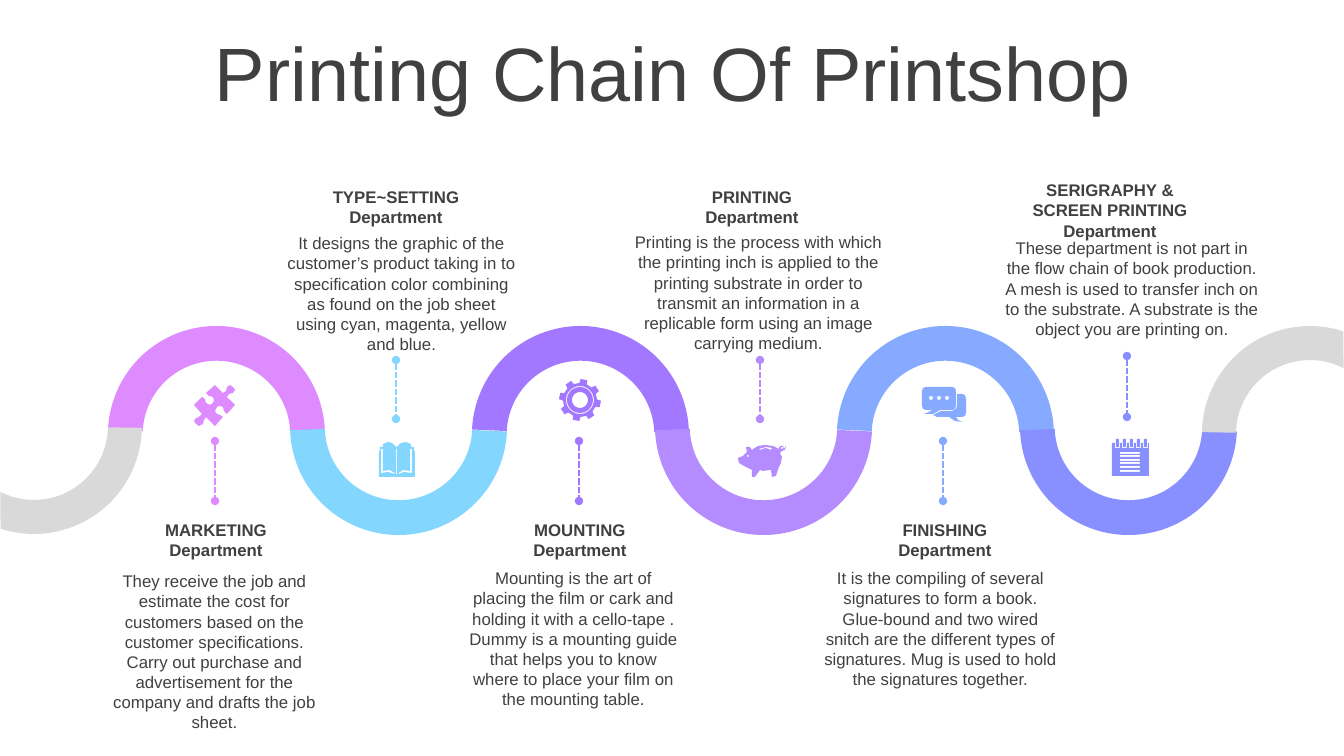
import math
import pptx
import pptx.dml.color
import pptx.enum.dml
import pptx.enum.shapes
import pptx.enum.text
import pptx.oxml
import pptx.oxml.ns
import pptx.util

EMU_PER_PX = 914400 / 100.8
FONT = "Arial"
COLORS = {
    "text": "404040", "grey": "D9D9D9", "pink": "DD8BFF", "cyan": "83D7FF",
    "violet": "A178FF", "lilac": "B58CFF", "blue": "86AAFF", "indigo": "888FFF",
}

# Colour, label, label box, description, description box, dashed line (x, top, bottom)
STAGES = [
    ("pink", "MARKETING Department", (121, 515, 190, 50),
     "They receive the job and estimate the cost for customers based on the customer "
     "specifications. Carry out purchase and advertisement for the company and drafts "
     "the job sheet.", (97, 566, 235, 173), (215, 441, 501)),
    ("cyan", "TYPE~SETTING Department", (301, 182, 190, 50),
     "It designs the graphic of the customer’s product taking in to specification color "
     "combining as found on the job sheet using cyan, magenta, yellow and blue.",
     (276, 228, 251, 132), (396, 360, 419)),
    ("violet", "MOUNTING Department", (485, 515, 190, 50),
     "Mounting is the art of placing the film or cark and holding it with a cello-tape . "
     "Dummy is a mounting guide that helps you to know where to place your film on the "
     "mounting table.", (457, 563, 233, 152), (579, 441, 501)),
    ("lilac", "PRINTING Department", (657, 182, 190, 50),
     "Printing is the process with which the printing inch is applied to the printing "
     "substrate in order to transmit an information in a replicable form using an image "
     "carrying medium.", (617, 227, 283, 132), (760, 360, 419)),
    ("blue", "FINISHING Department", (850, 515, 190, 50),
     "It is the compiling of several signatures to form a book. Glue-bound and two wired "
     "snitch are the different types of signatures. Mug is used to hold the signatures "
     "together.", (814, 563, 253, 132), (943, 441, 501)),
    ("indigo", "SERIGRAPHY & SCREEN PRINTING Department", (1012, 175, 196, 72),
     "These department is not part in the flow chain of book production. A mesh is used "
     "to transfer inch on to the substrate. A substrate is the object you are printing "
     "on.", (995, 233, 274, 112), (1127, 356, 417)),
]

PUZZLE = [
    (233, 387), (235, 390), (233, 393), (229, 394), (227, 397), (235, 405), (227, 414),
    (224, 411), (223, 407), (219, 406), (217, 407), (215, 411), (217, 414), (220, 415),
    (223, 417), (215, 426), (206, 417), (204, 420), (203, 424), (199, 426), (196, 424),
    (194, 421), (196, 418), (199, 417), (202, 414), (194, 405), (202, 397), (205, 399),
    (206, 403), (210, 405), (213, 403), (214, 400), (213, 397), (209, 396), (206, 393),
    (215, 385), (223, 393), (226, 391), (227, 387), (230, 385),
]
BOOK_COVER = [
    (379, 451), (380, 451), (380, 447), (383, 447), (383, 444), (388, 442), (392, 443),
    (396, 447), (397, 447), (401, 443), (406, 442), (411, 444), (411, 447), (414, 447),
    (414, 451), (415, 451), (415, 477), (379, 477),
]
BOOK_GAP = [
    (381, 449), (383, 449), (383, 471), (390, 470), (396, 474), (396, 449), (397, 449),
    (397, 474), (403, 470), (410, 471), (410, 449), (412, 449), (412, 473), (404, 472),
    (398, 474), (395, 474), (388, 472), (381, 473),
]
PIG_BODY = [
    (765, 445), (773, 446), (779, 449), (780, 451), (779, 448), (780, 446), (783, 446),
    (784, 449), (786, 446), (785, 450), (782, 451), (780, 453), (782, 457), (781, 463),
    (779, 467), (776, 476), (772, 477), (771, 470), (763, 471), (760, 470), (755, 477),
    (752, 477), (752, 470), (744, 466), (739, 463), (738, 458), (743, 456), (747, 452),
    (746, 447), (750, 447), (752, 450), (758, 446),
]
PIG_SLOT = [(759, 449), (766, 447), (772, 448), (771, 450), (766, 448), (760, 450)]
FRONT_BUBBLE = [
    (926, 387), (952, 387), (955, 388), (956, 391), (956, 406), (955, 409), (952, 410),
    (940, 410), (933, 414), (924, 414), (929, 412), (932, 410), (926, 410), (923, 409),
    (922, 406), (922, 391), (923, 388),
]
BACK_BUBBLE = [
    (957, 394), (962, 394), (965, 395), (966, 399), (966, 413), (965, 416), (962, 417),
    (956, 417), (958, 420), (962, 422), (955, 421), (949, 417), (937, 417), (933, 415),
    (941, 411), (952, 411), (956, 409), (957, 406),
]


def px(length):
    return pptx.util.Emu(round(length * EMU_PER_PX))


def rgb(color):
    return pptx.dml.color.RGBColor.from_string(COLORS[color])


def arc(center_x, center_y, radius, start, end, steps=24):
    """Points along an arc, angles in degrees clockwise from the right."""
    angles = [math.radians(start + (end - start) * i / steps) for i in range(steps + 1)]
    return [(center_x + radius * math.cos(a), center_y + radius * math.sin(a)) for a in angles]


def circle(center_x, center_y, radius):
    return arc(center_x, center_y, radius, 0, 360)


def rectangle(left, top, width, height):
    right, bottom = left + width, top + height
    return [(left, top), (right, top), (right, bottom), (left, bottom)]


def paint(shape, color):
    shape.shadow.inherit = False
    shape.fill.solid()
    shape.fill.fore_color.rgb = rgb(color)
    shape.line.fill.background()


def add_outline(page, color, *contours):
    """One filled freeform; inner contours become holes."""
    scaled = [[(px(x), px(y)) for x, y in contour] for contour in contours]
    builder = page.shapes.build_freeform(*scaled[0][0], scale=1.0)
    for index, points in enumerate(scaled):
        if index:
            builder.move_to(*points[0])
        builder.add_line_segments(points[1:], close=True)
    paint(builder.convert_to_shape(), color)


def add_text(page, area, text, size=12, bold=False, side_inset=10):
    box = page.shapes.add_textbox(*map(px, area))
    frame = box.text_frame
    frame.word_wrap = True
    frame.margin_left = frame.margin_right = px(side_inset)
    para = frame.paragraphs[0]
    para.text = text
    para.alignment = pptx.enum.text.PP_ALIGN.CENTER
    para.font.name, para.font.size, para.font.bold = FONT, pptx.util.Pt(size), bold
    para.font.color.rgb = rgb("text")
    return frame


def add_arc_band(page, index, color):
    flipped = index % 2 == 1
    area = (108 + 912 * index // 5, 318 if flipped else 326, 217, 217)
    band = page.shapes.add_shape(pptx.enum.shapes.MSO_SHAPE.BLOCK_ARC, *map(px, area))
    for number, value in enumerate((109.58, 214.84, 0.16)):
        band.adjustments[number] = value
    band.rotation = 180 if flipped else 0
    paint(band, color)


def add_road_end(page, center_x, center_y, turn):
    outer = arc(center_x, center_y, 108, turn + 1, turn + 108)
    inner = arc(center_x, center_y, 74, turn + 117, turn + 1)
    add_outline(page, "grey", outer + inner)


def add_dashed_line(page, color, x, top, bottom):
    line = page.shapes.add_connector(
        pptx.enum.shapes.MSO_CONNECTOR.STRAIGHT, px(x), px(top), px(x), px(bottom))
    line.line.color.rgb = rgb(color)
    line.line.width = pptx.util.Pt(1.5)
    line.line.dash_style = pptx.enum.dml.MSO_LINE.SQUARE_DOT
    stroke = line.line._get_or_add_ln()
    for tag in ("headEnd", "tailEnd"):
        stroke.append(pptx.oxml.parse_xml(
            f'<a:{tag} {pptx.oxml.ns.nsdecls("a")} type="oval"/>'))
    line._element.spPr.append(pptx.oxml.parse_xml(
        f'<a:effectLst {pptx.oxml.ns.nsdecls("a")}/>'))


def add_gear(page):
    center, teeth = (580, 400), []
    for tooth in range(8):
        middle = 45 * tooth + 11
        for radius, offset in ((17, -13), (21, -9), (21, 9), (17, 13)):
            teeth += arc(*center, radius, middle + offset, middle + offset, 1)[:1]
    add_outline(page, "violet", teeth, *(circle(*center, radius) for radius in (14, 13, 8)))


def add_notepad(page):
    rules = [rectangle(1120, 452 + 18 * i // 5, 20, 2) for i in range(6)]
    ring_lefts = range(1116, 1151, 7)[:5]
    notches = [rectangle(left - 1, 443, 5, 5) for left in ring_lefts]
    rings = [rectangle(left, 439, 3, 8) for left in ring_lefts]
    add_outline(page, "indigo", rectangle(1112, 443, 37, 33), *rules, *notches, *rings)


def main():
    deck = pptx.Presentation()
    deck.slide_width, deck.slide_height = px(1344), px(756)
    page = deck.slides.add_slide(deck.slide_layouts[6])

    # Title
    title = add_text(page, (35, 37, 1276, 80), "Printing Chain Of Printshop", size=54)
    title.vertical_anchor = pptx.enum.text.MSO_ANCHOR.MIDDLE
    title.paragraphs[0].line_spacing = 0.9

    # Winding road
    for index, stage in enumerate(STAGES):
        add_arc_band(page, index, stage[0])
    add_road_end(page, 34, 426, 0)
    add_road_end(page, 1310, 434, 180)

    # Departments
    for color, label, label_area, description, description_area, line in STAGES:
        add_text(page, description_area, description)
        add_text(page, label_area, label, bold=True, side_inset=12)
        add_dashed_line(page, color, *line)

    # Icons
    add_outline(page, "pink", PUZZLE)
    add_outline(page, "cyan", BOOK_COVER, BOOK_GAP)
    add_gear(page)
    add_outline(page, "lilac", PIG_BODY, PIG_SLOT, circle(748, 456, 1), circle(782, 448, 1))
    dots = [circle(x, 398, 2) for x in (931, 939, 947)]
    add_outline(page, "blue", FRONT_BUBBLE, BACK_BUBBLE, *dots)
    add_notepad(page)

    deck.save("out.pptx")


if __name__ == "__main__":
    main()
